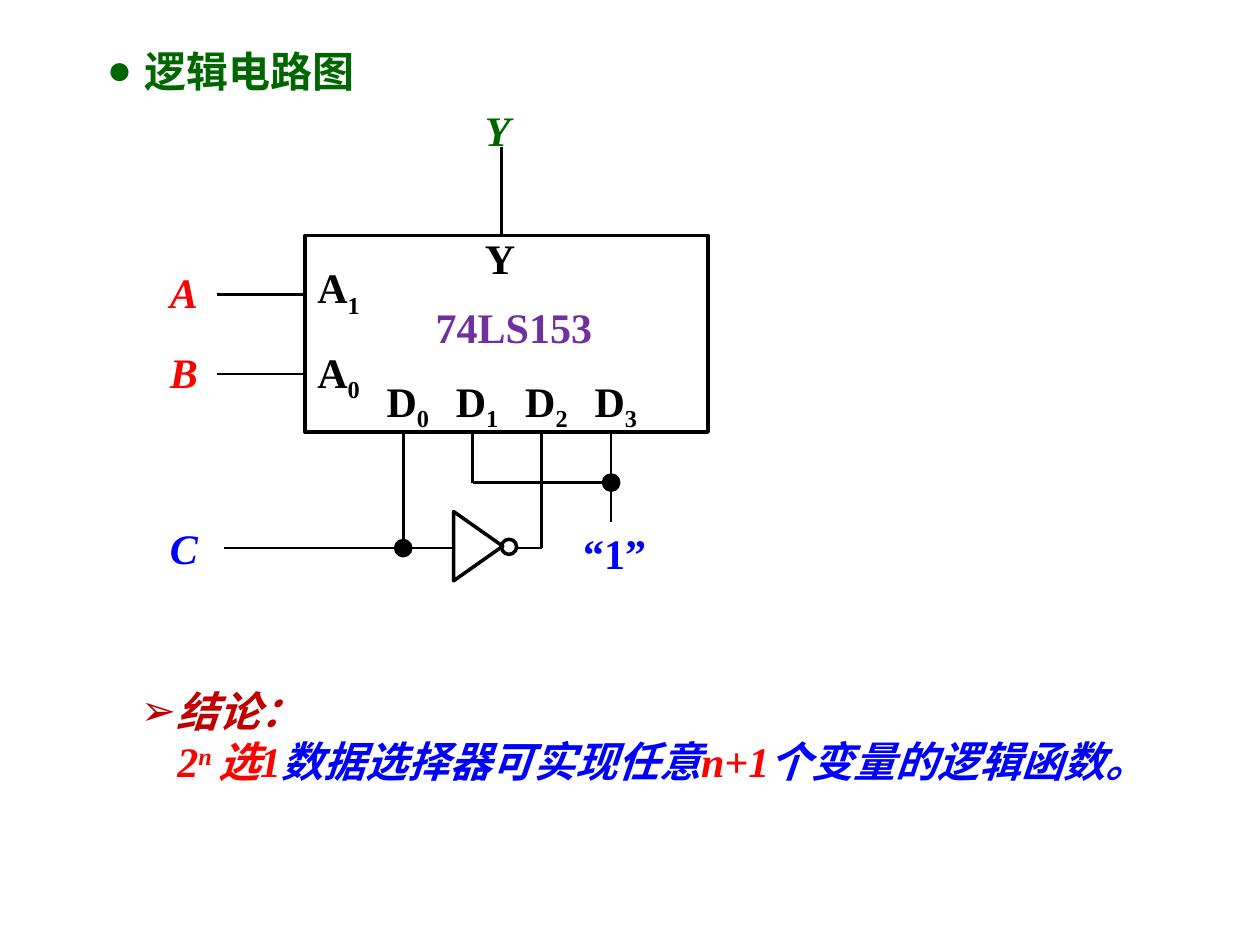
"""Build a slide with a 74LS153 logic circuit and its conclusion."""
from lxml import etree
from pptx import Presentation, util as u
from pptx.dml.color import RGBColor
from pptx.enum import shapes, text
from pptx.oxml import ns

BLACK = RGBColor(0, 0, 0)
RED = RGBColor(255, 0, 0)
BLUE = RGBColor(0, 0, 255)
GREEN = RGBColor(0, 0x66, 0)
PURPLE = RGBColor(0x70, 0x30, 0xA0)
DARK_RED = RGBColor(0xC0, 0, 0)
SERIF = "Times New Roman"

CHIP = (2.42, 1.87, 3.2, 1.56)
CHIP_BOTTOM = CHIP[1] + CHIP[3]
PIN_X = [3.2 + 0.55 * pin for pin in range(4)]
BUS_Y, INPUT_Y, DOT = 3.83, 4.35, 0.12
PIN_END_Y = [INPUT_Y, BUS_Y, INPUT_Y, 4.14]

PIN_LABELS = [("D", str(pin), x - 0.23, 2.93, 0.62) for pin, x in enumerate(PIN_X)]
PIN_LABELS += [("A", "1", 2.42, 2.03, 1.09), ("A", "0", 2.42, 2.7, 1.17), ("Y", "", 3.75, 1.8, 0.55)]
SIGNALS = [
    ("A", 1.25, 2.07, 0.47, RED, True),
    ("B", 1.25, 2.7, 0.47, RED, True),
    ("Y", 3.75, 0.78, 0.47, GREEN, True),
    ("C", 1.25, 4.1, 0.47, BLUE, True),
    ("“1”", 4.53, 4.14, 0.86, BLUE, False),
    ("74LS153", 3.36, 2.34, 1.46, PURPLE, False),
]
WIRES = [(x, CHIP_BOTTOM, x, end) for x, end in zip(PIN_X, PIN_END_Y)]
WIRES += [(1.72, y, CHIP[0], y) for y in (2.34, 2.97)]
WIRES += [
    (3.98, 1.17, 3.98, CHIP[1]),
    (PIN_X[1], BUS_Y, PIN_X[3], BUS_Y),
    (4.1, INPUT_Y, PIN_X[2], INPUT_Y),
    (1.78, INPUT_Y, 3.59, INPUT_Y),
]
CIRCLES = [(PIN_X[3], BUS_Y, True), (PIN_X[0], INPUT_Y, True), (4.04, 4.34, False)]
CONCLUSION = [
    ("2", RED, 0), ("n ", RED, 30), ("选1", RED, 0),
    ("数据选择器可实现任意", BLUE, 0), ("n+1", RED, 0), ("个变量的逻辑函数。", BLUE, 0),
]


def add_shape(page, kind, area, filled=False):
    shape = page.shapes.add_shape(kind, *map(u.Inches, area))
    shape.shadow.inherit = False
    if filled:
        shape.fill.solid()
        shape.fill.fore_color.rgb = BLACK
    else:
        shape.fill.background()
    shape.line.color.rgb = BLACK
    shape.line.width = u.Pt(2)
    return shape


def add_wire(page, ends):
    wire = page.shapes.add_connector(shapes.MSO_CONNECTOR.STRAIGHT, *map(u.Inches, ends))
    wire.line.color.rgb = BLACK
    wire.line.width = u.Pt(1.5)
    etree.SubElement(wire._element.spPr, ns.qn("a:effectLst"))


def add_box(page, left, top, width, height=0.5, wrap=True):
    box = page.shapes.add_textbox(*map(u.Inches, (left, top, width, height)))
    box.text_frame.word_wrap = wrap
    box.text_frame.auto_size = text.MSO_AUTO_SIZE.SHAPE_TO_FIT_TEXT
    return box.text_frame


def add_spans(para, parts, italic=False, face=SERIF):
    for words, color, baseline in parts:
        span = para.add_run()
        span.text = words
        span.font.size = u.Pt(24)
        span.font.name = face
        span.font.bold = True
        span.font.italic = italic
        span.font.color.rgb = color
        if baseline:
            span.font._element.set("baseline", str(baseline * 1000))


def set_indent(para, margin, first, bullet=None):
    props = para._p.get_or_add_pPr()
    props.set("marL", str(u.Inches(margin)))
    props.set("indent", str(u.Inches(first)))
    if bullet:
        etree.SubElement(props, ns.qn("a:buFont"), typeface="Arial")
        etree.SubElement(props, ns.qn("a:buChar"), char=bullet)


def main():
    deck = Presentation()
    deck.slide_width, deck.slide_height = u.Inches(10), u.Inches(7.5)
    page = deck.slides.add_slide(deck.slide_layouts[6])

    add_shape(page, shapes.MSO_SHAPE.RECTANGLE, CHIP)
    for wire in WIRES:
        add_wire(page, wire)
    inverter = add_shape(page, shapes.MSO_SHAPE.ISOSCELES_TRIANGLE, (3.52, 4.14, 0.55, 0.39))
    inverter.rotation = 90
    for x, y, filled in CIRCLES:
        add_shape(page, shapes.MSO_SHAPE.OVAL, (x - DOT / 2, y - DOT / 2, DOT, DOT), filled)

    for name, index, left, top, width in PIN_LABELS:
        parts = [(name, BLACK, 0)] + ([(index, BLACK, -25)] if index else [])
        add_spans(add_box(page, left, top, width).paragraphs[0], parts)
    for name, left, top, width, color, italic in SIGNALS:
        frame = add_box(page, left, top, width, wrap=name != "74LS153")
        add_spans(frame.paragraphs[0], [(name, color, 0)], italic)

    title = add_box(page, 0.75, 0.31, 2.99).paragraphs[0]
    set_indent(title, 0.3, -0.3, "●")
    add_spans(title, [("逻辑电路图", GREEN, 0)], face="Arial")

    frame = add_box(page, 1.02, 5.39, 8.27, 0.91)
    heading = frame.paragraphs[0]
    set_indent(heading, 0.28, -0.28, "➢")
    add_spans(heading, [("结论：", DARK_RED, 0)], italic=True)
    body = frame.add_paragraph()
    set_indent(body, 0, 0.29)
    add_spans(body, CONCLUSION, italic=True)

    deck.save("out.pptx")


if __name__ == "__main__":
    main()
